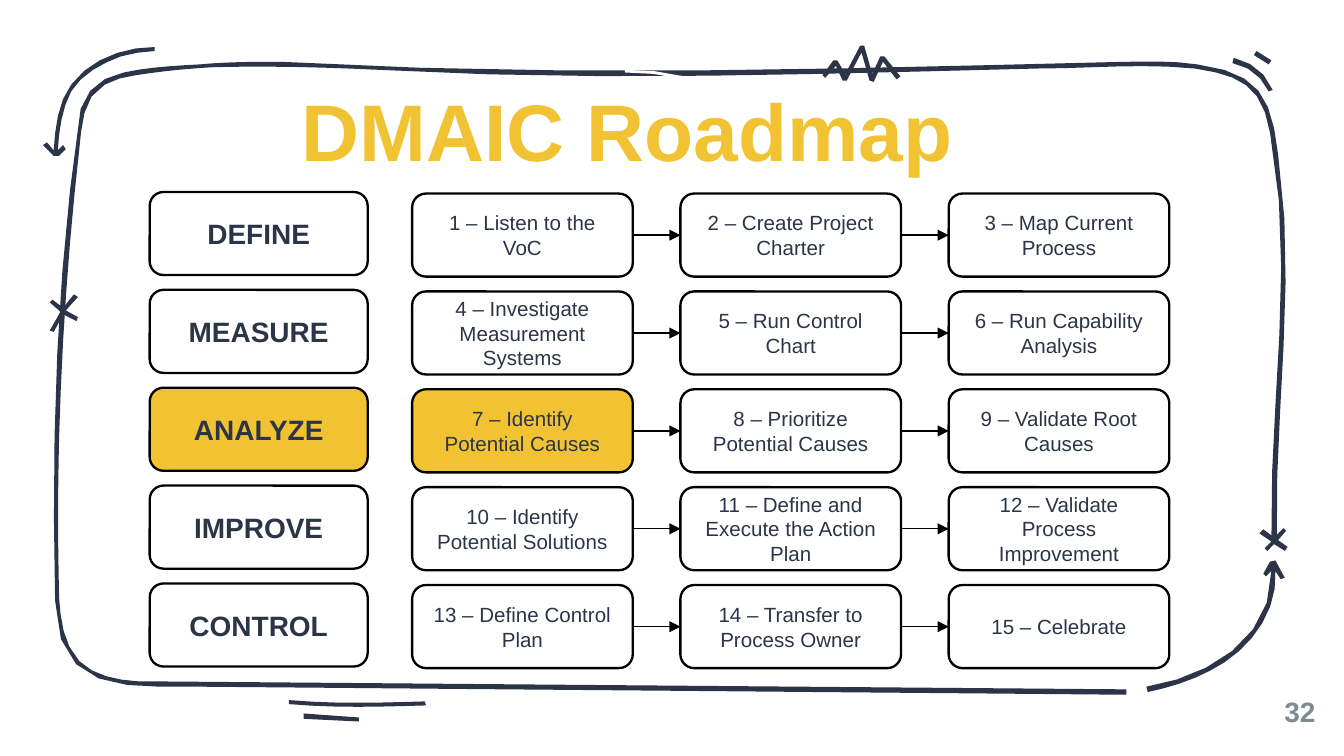
import math

from lxml import etree
from pptx import Presentation
from pptx.dml.color import RGBColor
from pptx.enum import shapes, text
from pptx.oxml import ns
from pptx.util import Cm, Pt

NAVY, YELLOW, WHITE, BLACK, GREY = "2B3547", "F1C232", "FFFFFF", "000000", "7F8B91"

TITLE = "DMAIC Roadmap"
PAGE = "32"
ROADMAP = [
    ("DEFINE", ["1 – Listen to the VoC", "2 – Create Project Charter",
                "3 – Map Current Process"]),
    ("MEASURE", ["4 – Investigate Measurement Systems", "5 – Run Control Chart",
                 "6 – Run Capability Analysis"]),
    ("ANALYZE", ["7 – Identify Potential Causes", "8 – Prioritize Potential Causes",
                 "9 – Validate Root Causes"]),
    ("IMPROVE", ["10 – Identify Potential Solutions",
                 "11 – Define and Execute the Action Plan",
                 "12 – Validate Process Improvement"]),
    ("CONTROL", ["13 – Define Control Plan", "14 – Transfer to Process Owner",
                 "15 – Celebrate"]),
]
CURRENT = {"ANALYZE", "7 – Identify Potential Causes"}

# Hand-drawn strokes in hundredths of an inch: a start point, then
# pairs for straight segments and sextuples for Bézier curves.
FRAME = [
    (951, 115), (946, 72, 937, 54, 891, 48), (871, 45, 857, 46, 837, 46),
    (628, 51, 418, 58, 209, 46), (189, 46, 168, 46, 148, 48),
    (129, 49, 110, 50, 92, 54), (77, 57, 65, 65, 60, 81),
    (42, 201, 38, 325, 41, 447), (42, 516, 92, 511, 145, 511),
    (375, 513, 609, 515, 838, 517), (838, 513), (102, 507),
    (87, 506, 70, 503, 59, 492), (47, 479, 45, 461, 44, 445),
    (43, 405, 43, 365, 44, 325), (46, 253, 51, 182, 59, 111),
    (61, 94, 61, 72, 78, 63), (85, 59, 93, 57, 101, 56),
    (120, 53, 140, 51, 159, 50), (200, 49, 241, 50, 282, 52),
    (445, 61, 609, 55, 772, 51), (812, 51, 848, 47, 889, 51),
    (922, 56, 939, 63, 945, 99), (964, 199, 944, 299, 946, 402), (950, 401),
    (948, 306, 965, 210, 951, 115)]
LONG_DASH = [(215, 524), (249, 527, 283, 526, 317, 525), (316, 522),
             (283, 523, 249, 524, 215, 521)]
SHORT_DASH = [(226, 535), (267, 537), (267, 534), (226, 531)]
ZIGZAG = [
    (640, 34), (629, 55), (623, 45), (620, 45), (612, 56), (614, 58), (622, 49),
    (627, 60), (630, 60), (641, 39), (647, 60), (650, 61), (657, 46), (667, 59),
    (670, 57), (658, 42), (655, 42), (649, 55), (643, 34)]
LONG_ARC = [(947, 67), (942, 54, 931, 46, 918, 43), (917, 47),
            (929, 49, 939, 57, 944, 68)]
SHORT_ARC = [(946, 45), (935, 38), (933, 41), (944, 48)]
LEFT_CROSS = [
    (58, 236), (49, 231), (58, 221), (55, 219), (47, 229), (39, 223), (37, 225),
    (45, 232), (37, 246), (40, 247), (47, 234), (57, 239)]
RIGHT_CROSS = [
    (958, 407), (951, 402), (957, 395), (955, 393), (948, 400), (940, 394),
    (937, 397), (946, 403), (941, 408), (943, 410), (948, 405), (956, 410)]
RISING_ARROW = [
    (911, 493), (934, 478, 951, 452, 949, 425), (953, 431), (956, 430), (949, 417),
    (945, 418), (940, 427), (942, 429), (946, 425), (947, 476, 898, 504, 853, 511),
    (854, 515), (874, 511, 894, 504, 911, 493)]
FALLING_ARROW = [
    (44, 116), (49, 111), (47, 108), (43, 112), (44, 97, 46, 81, 53, 68),
    (61, 55, 76, 47, 90, 42), (98, 40, 107, 38, 115, 38), (115, 35),
    (92, 35, 67, 44, 53, 63), (43, 76, 41, 96, 40, 112), (35, 106), (32, 108),
    (40, 116)]
NOTCH = [(465, 52), (487, 53), (510, 57), (509, 59), (486, 55), (465, 54)]
STROKES = [FRAME, LONG_DASH, SHORT_DASH, ZIGZAG, LONG_ARC, SHORT_ARC, LEFT_CROSS,
           RIGHT_CROSS, RISING_ARROW, FALLING_ARROW]

UNIT = Cm(2.54) / 100
STEP_LENGTH, MAX_STEPS = 14, 6
TOP, ROW_STEP, BOX_HEIGHT = 3.66, 1.85, 1.57
PHASE_LEFT, PHASE_WIDTH = 2.83, 4.12
STEP_LEFT, COLUMN_STEP, STEP_WIDTH = 7.79, 5.07, 4.17

prs = Presentation()
prs.slide_width, prs.slide_height = Cm(25.4), Cm(14.29)
slide = prs.slides.add_slide(prs.slide_layouts[5])


def rgb(color):
    return RGBColor.from_string(color)


def flatten(stroke):
    """Turn a stroke's segments into a list of points in EMU."""
    points = [stroke[0]]
    for segment in stroke[1:]:
        if len(segment) == 2:
            points.append(segment)
            continue
        start = points[-1]
        steps = min(MAX_STEPS, math.ceil(math.dist(start, segment[4:]) / STEP_LENGTH))
        for i in range(1, steps + 1):
            t = i / steps
            weights = (1 - t) ** 3, 3 * t * (1 - t) ** 2, 3 * t * t * (1 - t), t ** 3
            points.append(tuple(
                sum(w * v for w, v in zip(weights, (start[axis], *segment[axis::2])))
                for axis in (0, 1)))
    return [(x * UNIT, y * UNIT) for x, y in points]


def draw_stroke(stroke, color):
    start, *rest = flatten(stroke)
    builder = slide.shapes.build_freeform(*start)
    builder.add_line_segments(rest, close=True)
    outline = builder.convert_to_shape()
    outline.shadow.inherit = False
    outline.fill.solid()
    outline.fill.fore_color.rgb = rgb(color)
    outline.line.fill.background()


def write(shape, words, size, color, bold=False, align=text.PP_ALIGN.CENTER):
    frame = shape.text_frame
    frame.text = words
    frame.word_wrap = True
    frame.vertical_anchor = text.MSO_ANCHOR.MIDDLE
    paragraph = frame.paragraphs[0]
    paragraph.alignment = align
    font = paragraph.runs[0].font
    font.name, font.size, font.bold = "Arial", Pt(size), bold
    font.color.rgb = rgb(color)


def write_bare(shape, *args, **kwargs):
    """Write text in a shape without insets."""
    write(shape, *args, **kwargs)
    frame = shape.text_frame
    frame.margin_left = frame.margin_right = frame.margin_top = frame.margin_bottom = 0


def add_box(words, left, top, width, size, bold=False):
    box = slide.shapes.add_shape(shapes.MSO_SHAPE.ROUNDED_RECTANGLE, Cm(left), Cm(top),
                                 Cm(width), Cm(BOX_HEIGHT))
    box.shadow.inherit = False
    box.fill.solid()
    box.fill.fore_color.rgb = rgb(YELLOW if words in CURRENT else WHITE)
    box.line.color.rgb = rgb(BLACK)
    box.line.width = Pt(1.25)
    write(box, words, size, NAVY, bold)
    return box


def add_arrow(source, target):
    arrow = slide.shapes.add_connector(shapes.MSO_CONNECTOR.STRAIGHT, 0, 0, 0, 0)
    arrow.begin_connect(source, 3)
    arrow.end_connect(target, 1)
    arrow.line.color.rgb = rgb(BLACK)
    arrow.line.width = Pt(0.75)
    line = arrow.line._get_or_add_ln()
    etree.SubElement(line, ns.qn("a:tailEnd"), type="triangle")
    etree.SubElement(arrow._element.spPr, ns.qn("a:effectLst"))


for stroke in STROKES:
    draw_stroke(stroke, NAVY)
draw_stroke(NOTCH, WHITE)

title = slide.shapes.title
title.left, title.top, title.width, title.height = Cm(2.92), Cm(1.5), Cm(17.86), Cm(2.11)
write_bare(title, TITLE, 43, YELLOW, bold=True)
title.text_frame.paragraphs[0].line_spacing = 0.9

page = slide.shapes.add_textbox(Cm(23.34), Cm(13.03), Cm(1.52), Cm(0.84))
write_bare(page, PAGE, 15, GREY, bold=True, align=text.PP_ALIGN.RIGHT)

for row, (phase, steps) in enumerate(ROADMAP):
    top = TOP + row * ROW_STEP
    add_box(phase, PHASE_LEFT, top - 0.03, PHASE_WIDTH, 15, bold=True)
    boxes = [add_box(step, STEP_LEFT + column * COLUMN_STEP, top, STEP_WIDTH, 11)
             for column, step in enumerate(steps)]
    for source, target in zip(boxes, boxes[1:]):
        add_arrow(source, target)

prs.save("out.pptx")
